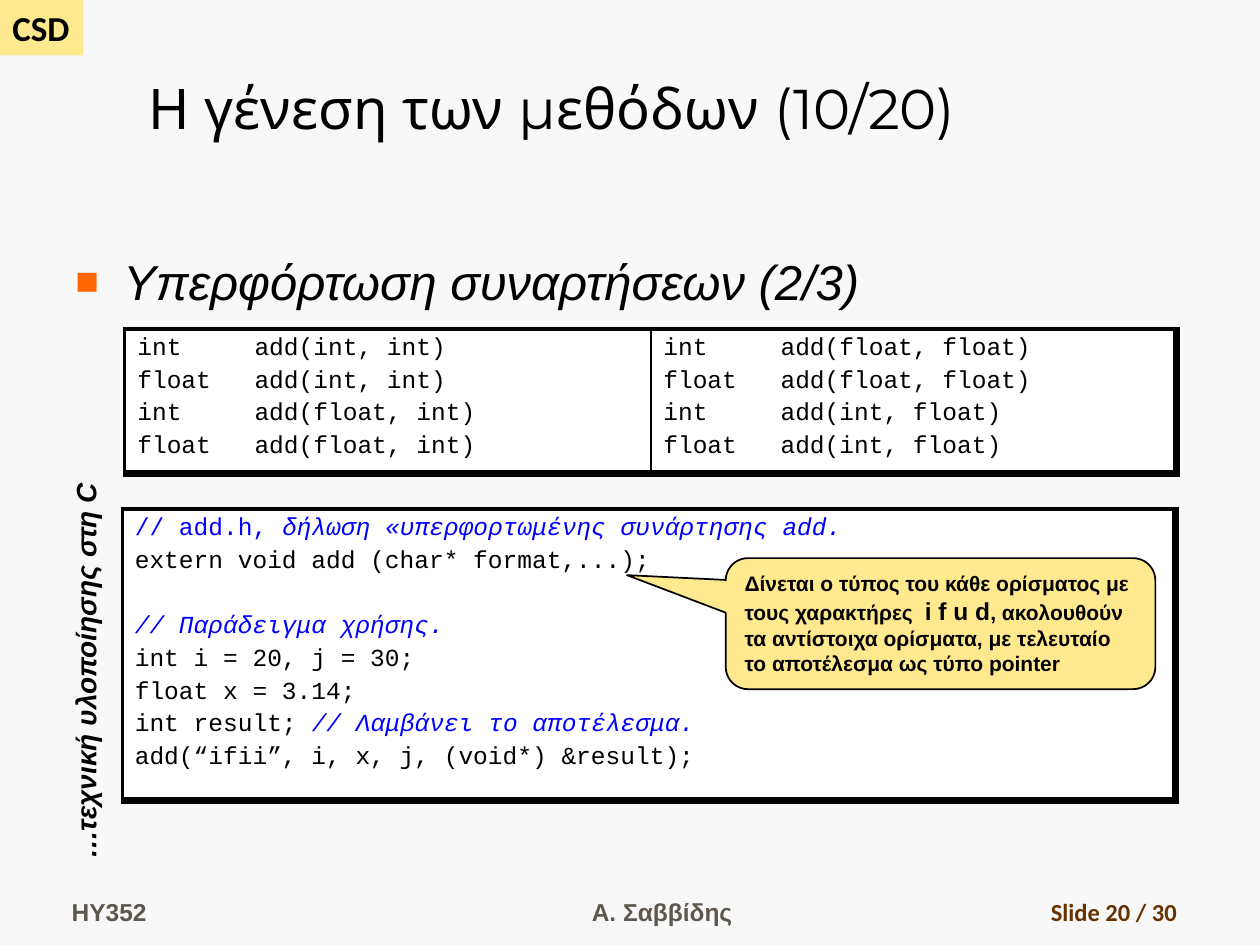
import pptx
import pptx.util
import pptx.dml.color
import pptx.enum.shapes
import pptx.enum.text
import pptx.oxml
import pptx.oxml.ns

Inches, Pt = pptx.util.Inches, pptx.util.Pt
ALIGN, ANCHOR = pptx.enum.text.PP_ALIGN, pptx.enum.text.MSO_ANCHOR
SHAPE = pptx.enum.shapes.MSO_SHAPE

COLORS = {
    "background": "F8F8F8", "paper": "FFFFFF", "ink": "000000",
    "note": "FFE98F", "comment": "0000FF", "bullet": "FF6600",
    "footer": "5E574E", "number": "663300",
}
COMMENT = {"color": "comment", "italic": True}

# A paragraph is a list of (text, format) runs.
TITLE = [[("Η γένεση των μεθόδων (10/20)", {})]]
TOPIC = [[("Υπερφόρτωση συναρτήσεων (2/3)", {})]]
SIDE_LABEL = [[("…τεχνική υλοποίησης στη C", {})]]
OVERLOADS = [
    [("int", "int, int"), ("float", "int, int"),
     ("int", "float, int"), ("float", "float, int")],
    [("int", "float, float"), ("float", "float, float"),
     ("int", "int, float"), ("float", "int, float")],
]
DECLARATION = [
    [("// add.h, ", {"color": "comment"}),
     ("δήλωση «υπερφορτωμένης συνάρτησης add.", COMMENT)],
    [("extern void add (char* format,...);", {})],
]
USAGE = [
    [("// Παράδειγμα χρήσης.", COMMENT)],
    [("int i = 20, j = 30;", {})],
    [("float x = 3.14;", {})],
    [("int result; ", {}), ("// Λαμβάνει το αποτέλεσμα.", COMMENT)],
    [("add(“ifii”, i, x, j, (void*) &result);", {})],
]
EXPLANATION = [
    [("Δίνεται ο τύπος του κάθε ορίσματος με", {})],
    [("τους χαρακτήρες  ", {}), ("i f u d", {"size": 14}),
     (", ακολουθούν τα αντίστοιχα ορίσματα, με τελευταίο", {})],
    [("το αποτέλεσμα ως τύπο pointer", {})],
]
FOOTERS = [  # text, left, width, alignment, format
    ("HY352", 0.47, 2.19, ALIGN.LEFT, {"color": "footer"}),
    ("Α. Σαββίδης", 3.67, 3.17, ALIGN.CENTER, {"color": "footer"}),
    ("Slide 20 / 30", 7.36, 2.08, ALIGN.RIGHT,
     {"color": "number", "font": "Calibri"}),
]
CODE = {"font": "Courier New", "size": 14, "gap": 2.8}
CODE_LINE = 18.7
TYPE_COLUMN = 0.93
THIN, MEDIUM, THICK = 1, 2.25, 4.5


def rgb(name):
    """Return a named colour."""
    return pptx.dml.color.RGBColor.from_string(COLORS[name])


def write(frame, paragraphs, align=ALIGN.LEFT, gap=0, extra_gaps=None, **style):
    """Fill a text frame with paragraphs of formatted runs."""
    for index, runs in enumerate(paragraphs):
        paragraph = frame.paragraphs[0] if index == 0 else frame.add_paragraph()
        paragraph.alignment = align
        extra = (extra_gaps or {}).get(index, 0)
        paragraph.space_before = Pt(gap + extra if index else 0)
        for text, changes in runs:
            look = {"font": "Arial", "size": 14, "color": "ink",
                    "bold": False, "italic": False, **style, **changes}
            run = paragraph.add_run()
            run.text = text
            run.font.name, run.font.size = look["font"], Pt(look["size"])
            run.font.bold, run.font.italic = look["bold"], look["italic"]
            run.font.color.rgb = rgb(look["color"])


def add_text(box, paragraphs, anchor=ANCHOR.TOP, wrap=True, **style):
    """Add a text box at box = (left, top, width, height)."""
    label = slide.shapes.add_textbox(*map(Inches, box))
    label.text_frame.word_wrap = wrap
    label.text_frame.vertical_anchor = anchor
    write(label.text_frame, paragraphs, **style)
    return label


def add_note(kind, box, paragraphs, wrap=True, **style):
    """Add a yellow shape with text."""
    note = slide.shapes.add_shape(kind, *map(Inches, box))
    note.shadow.inherit = False
    note.fill.solid()
    note.fill.fore_color.rgb = rgb("note")
    note.line.fill.background()
    note.text_frame.word_wrap = wrap
    note.text_frame.vertical_anchor = ANCHOR.TOP
    write(note.text_frame, paragraphs, **style)
    return note


def add_xml(parent, xml, position=None):
    """Insert a drawing element into a parent element."""
    head, tail = xml.split(" ", 1) if " " in xml else (xml, "")
    element = pptx.oxml.parse_xml(
        f"{head} {pptx.oxml.ns.nsdecls('a')} {tail}")
    parent.insert(len(parent) if position is None else position, element)


def set_borders(cell, left, right):
    """Draw the cell borders, with a heavy bottom edge."""
    properties = cell._tc.get_or_add_tcPr()
    edges = {"L": left, "R": right, "T": MEDIUM, "B": THICK}
    for position, (side, width) in enumerate(edges.items()):
        add_xml(properties,
                f'<a:ln{side} w="{Pt(width)}"><a:solidFill>'
                f'<a:srgbClr val="{COLORS["ink"]}"/></a:solidFill></a:ln{side}>',
                position)


def add_code_table(box, columns, **style):
    """Add a one-row table with a code listing in each column."""
    table = slide.shapes.add_table(1, len(columns), *map(Inches, box)).table
    table.first_row = table.horz_banding = False
    last = len(columns) - 1
    for index, paragraphs in enumerate(columns):
        cell = table.cell(0, index)
        cell.fill.solid()
        cell.fill.fore_color.rgb = rgb("paper")
        write(cell.text_frame, paragraphs, **CODE, **style)
        set_borders(cell, THIN if index else MEDIUM,
                    THICK if index == last else THIN)
    return table


deck = pptx.Presentation()
deck.slide_width, deck.slide_height = Inches(10), Inches(7.5)
slide = deck.slides.add_slide(deck.slide_layouts[6])
slide.background.fill.solid()
slide.background.fill.fore_color.rgb = rgb("background")

add_note(SHAPE.RECTANGLE, (0, 0, 0.66, 0.44), [[("CSD", {})]], wrap=False,
         font="Calibri", size=20, bold=True)
for text, left, width, align, look in FOOTERS:
    add_text((left, 6.9, width, 0.5), [[(text, look)]], anchor=ANCHOR.BOTTOM,
             align=align, bold=True)
add_text((1.08, 0.17, 8.92, 1), TITLE, anchor=ANCHOR.BOTTOM,
         font="Montserrat", size=32)

topic = add_text((0.5, 1.95, 9.08, 4.8), TOPIC, size=28, italic=True)
bullet = topic.text_frame.paragraphs[0]._p.get_or_add_pPr()
bullet.set("marL", str(Inches(0.38)))
bullet.set("indent", str(Inches(-0.38)))
for xml in (f'<a:buClr ><a:srgbClr val="{COLORS["bullet"]}"/></a:buClr>',
            '<a:buSzPct val="80000"/>', '<a:buFont typeface="Arial"/>',
            '<a:buChar char="■"/>'):
    add_xml(bullet, xml.replace("<a:buClr >", "<a:buClr  >"))

add_code_table((0.97, 4.04, 8.36, 2.31), [DECLARATION + USAGE],
               extra_gaps={len(DECLARATION): CODE_LINE})
signatures = [[[(f"{result}\tadd({arguments})", {})]
               for result, arguments in column] for column in OVERLOADS]
overloads = add_code_table((0.99, 2.61, 8.35, 1.14), signatures)
for cell in overloads.iter_cells():
    for paragraph in cell.text_frame.paragraphs:
        add_xml(paragraph._p.get_or_add_pPr(),
                f'<a:tabLst ><a:tab pos="{Inches(TYPE_COLUMN)}" algn="l"/></a:tabLst>')

side_label = add_text((-0.92, 5.13, 3.2, 0.37), SIDE_LABEL, wrap=False,
                      size=16, bold=True, italic=True)
side_label.rotation = 270

callout = add_note(SHAPE.ROUNDED_RECTANGULAR_CALLOUT, (5.76, 4.43, 3.41, 1.04),
                   EXPLANATION, size=12, bold=True)
callout.line.color.rgb = rgb("ink")
callout.line.width = Pt(1)
for index, value in enumerate((-0.73, -0.37, 0.17)):
    callout.adjustments[index] = value

deck.save("out.pptx")
